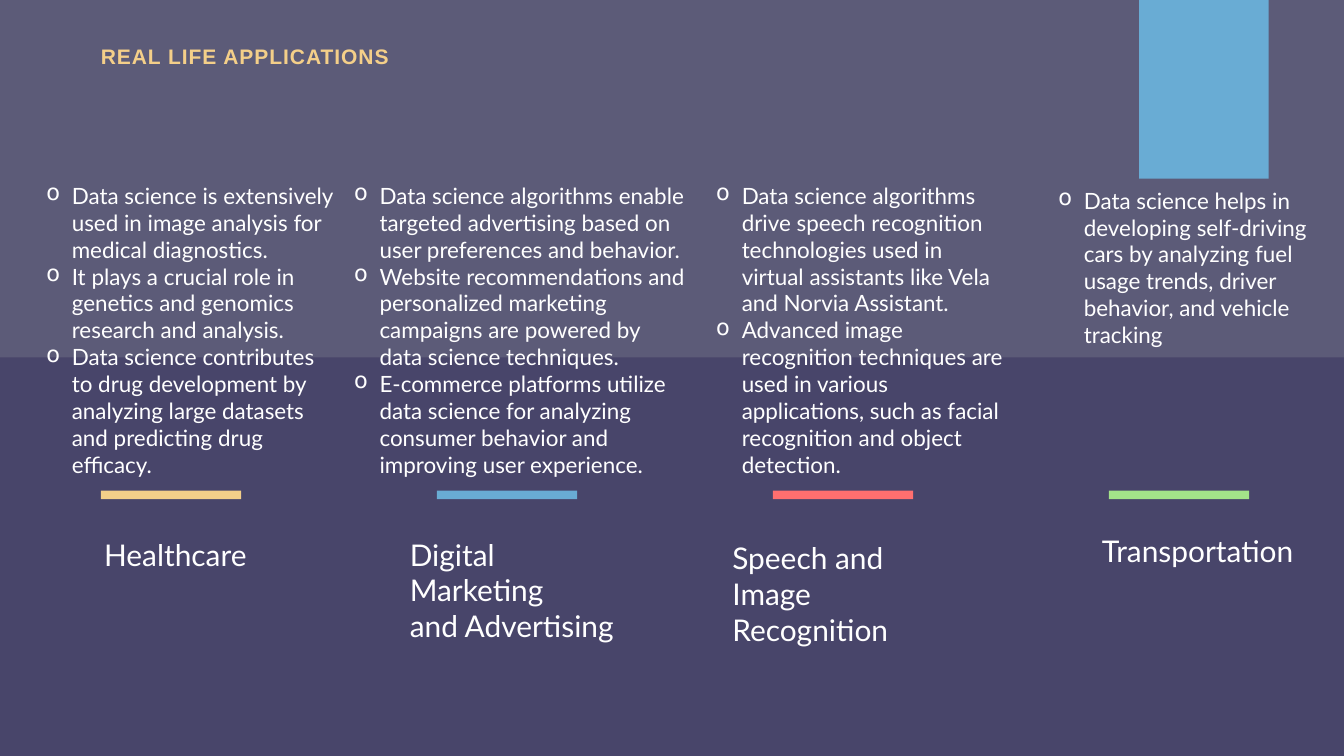
"""Build a slide on real life applications of data science."""
import pptx
import pptx.util
import pptx.dml.color
import pptx.enum.shapes
import pptx.enum.text
import pptx.oxml.ns
from dataclasses import dataclass
from lxml import etree

Inches = pptx.util.Inches
Fit = pptx.enum.text.MSO_AUTO_SIZE


@dataclass(frozen=True)
class Theme:
    back: str = "48456A"
    band: str = "5C5B78"
    gold: str = "F4CF89"
    blue: str = "69ACD4"
    red: str = "FF6F6F"
    green: str = "A3E389"
    white: str = "FFFFFF"
    title: float = 22.5
    body: float = 24
    label: float = 32
    head: str = "Arial"
    text: str = "Lato"


theme = Theme()


def block(left, top, width, height, color):
    shape = slide.shapes.add_shape(
        pptx.enum.shapes.MSO_SHAPE.RECTANGLE,
        Inches(left), Inches(top), Inches(width), Inches(height))
    shape.fill.solid()
    shape.fill.fore_color.rgb = pptx.dml.color.RGBColor.from_string(color)
    shape.line.fill.background()
    shape.shadow.inherit = False


def write(place, lines, size, bullet=False):
    box = slide.shapes.add_textbox(*[Inches(n) for n in place])
    frame = box.text_frame
    frame.word_wrap = True
    frame.auto_size = Fit.SHAPE_TO_FIT_TEXT
    for i, line in enumerate(lines):
        para = frame.add_paragraph() if i else frame.paragraphs[0]
        if bullet:
            props = para._p.get_or_add_pPr()
            props.set("marL", str(Inches(0.38)))
            props.set("indent", str(Inches(-0.38)))
            mark = etree.SubElement(props, pptx.oxml.ns.qn("a:buChar"))
            mark.set("char", "o")
        for j, part in enumerate(line.split("\n")):
            if j:
                para.add_line_break()
            run = para.add_run()
            run.text = part
            run.font.name = theme.text
            run.font.size = pptx.util.Pt(size)
            run.font.color.rgb = pptx.dml.color.RGBColor.from_string(theme.white)


deck = pptx.Presentation()
deck.slide_width = Inches(20)
deck.slide_height = Inches(11.25)
slide = deck.slides.add_slide(deck.slide_layouts[5])
slide.background.fill.solid()
slide.background.fill.fore_color.rgb = pptx.dml.color.RGBColor.from_string(theme.back)

block(0, 0, 20, 5.32, theme.band)
for i, color in enumerate((theme.gold, theme.blue, theme.red, theme.green)):
    block(1.5 + 5 * i, 7.3, 2.09, 0.13, color)
block(16.95, 0, 1.93, 2.66, theme.blue)

title = slide.shapes.title
title.element.getparent().append(title.element)
title.left, title.top = Inches(1.49), Inches(0.54)
title.width, title.height = Inches(5.97), Inches(0.43)
frame = title.text_frame
frame.auto_size = Fit.SHAPE_TO_FIT_TEXT
frame.vertical_anchor = pptx.enum.text.MSO_ANCHOR.TOP
frame.margin_left = Inches(0.01)
frame.margin_right = frame.margin_bottom = 0
frame.margin_top = Inches(0.1)
para = frame.paragraphs[0]
para.alignment = pptx.enum.text.PP_ALIGN.LEFT
run = para.add_run()
run.text = "REAL LIFE APPLICATIONS"
run.font.name = theme.head
run.font.size = pptx.util.Pt(theme.title)
run.font.bold = True
run.font.color.rgb = pptx.dml.color.RGBColor.from_string(theme.gold)
run._r.get_or_add_rPr().set("spc", "100")

fields = [
    ("Healthcare", (1.45, 7.93, 2.58, 0.64), (0.59, 2.66, 4.52, 4.54), [
        "Data science is extensively used in image analysis for medical diagnostics.",
        "It plays a crucial role in genetics and genomics research and analysis.",
        "Data science contributes to drug development by analyzing large datasets "
        "and predicting drug efficacy."]),
    ("Digital Marketing \nand Advertising", (6, 7.93, 3.5, 1.72), (5.17, 2.66, 5.16, 4.54), [
        "Data science algorithms enable targeted advertising based on user "
        "preferences and behavior.",
        "Website recommendations and personalized marketing campaigns are powered "
        "by data science techniques.",
        "E-commerce platforms utilize data science for analyzing consumer behavior "
        "and improving user experience."]),
    ("Speech and Image Recognition", (10.8, 7.98, 3.5, 1.72), (10.56, 2.66, 4.52, 4.54), [
        "Data science algorithms drive speech recognition technologies used in "
        "virtual assistants like Vela and Norvia Assistant.",
        "Advanced image recognition techniques are used in various applications, "
        "such as facial recognition and object detection."]),
    ("Transportation", (16.3, 7.88, 3.21, 0.64), (15.65, 2.73, 4.52, 2.12), [
        "Data science helps in developing self-driving cars by analyzing fuel "
        "usage trends, driver behavior, and vehicle tracking"]),
]
for name, spot, place, points in fields:
    write(place, points, theme.body, bullet=True)
    write(spot, [name], theme.label)

deck.save("out.pptx")
